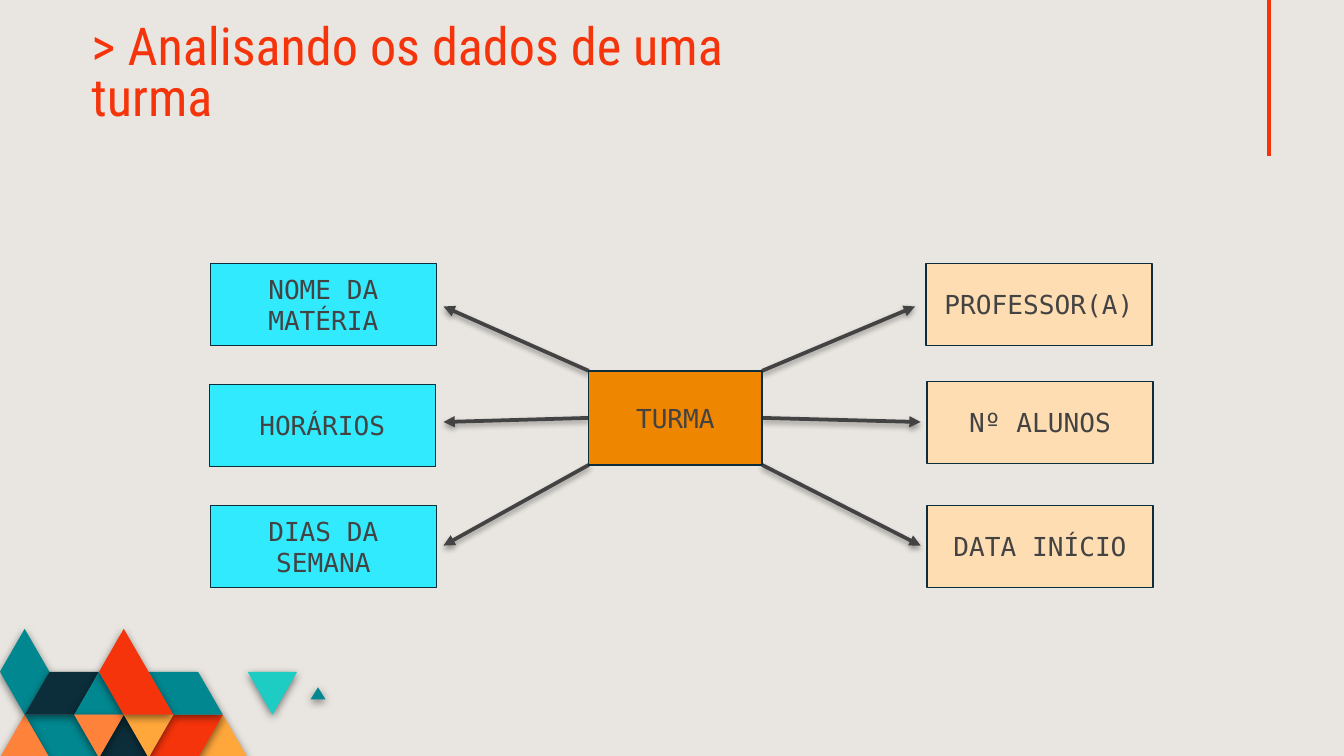
from lxml import etree
from pptx import Presentation
from pptx.dml.color import RGBColor
from pptx.enum.shapes import MSO_CONNECTOR as Connector, MSO_SHAPE as Shape
from pptx.enum.text import MSO_ANCHOR as Anchor, MSO_AUTO_SIZE as AutoSize, PP_ALIGN as Align
from pptx.oxml.ns import qn
from pptx.util import Pt

BACKGROUND = RGBColor(0xE9, 0xE6, 0xE1)
RED = RGBColor(0xF5, 0x34, 0x0B)
TEAL = RGBColor(0x01, 0x87, 0x90)
TURQUOISE = RGBColor(0x1D, 0xCD, 0xC3)
NAVY = RGBColor(0x0C, 0x2E, 0x3A)
CORAL = RGBColor(0xFF, 0x82, 0x3B)
AMBER = RGBColor(0xFF, 0xA7, 0x3B)
CYAN = RGBColor(0x31, 0xEA, 0xFE)
PEACH = RGBColor(0xFF, 0xDD, 0xB2)
ORANGE = RGBColor(0xEF, 0x86, 0x00)
GRAY = RGBColor(0x43, 0x43, 0x43)


def set_shadow(shape, blur=0, distance=0, opacity=0):
    """Drop a black shadow straight down, or remove it when opacity is 0."""
    effects = etree.SubElement(shape._element.spPr, qn("a:effectLst"))
    if opacity:
        outer = etree.SubElement(effects, qn("a:outerShdw"), blurRad=str(Pt(blur)),
                                 dist=str(Pt(distance)), dir="5400000",
                                 algn="bl", rotWithShape="0")
        color = etree.SubElement(outer, qn("a:srgbClr"), val="000000")
        etree.SubElement(color, qn("a:alpha"), val=str(opacity * 1000))


def add_box(shapes, label, left, top, width, height, color):
    box = shapes.add_shape(Shape.RECTANGLE, Pt(left), Pt(top), Pt(width), Pt(height))
    box.shadow.inherit = False
    box.fill.solid()
    box.fill.fore_color.rgb = color
    box.line.color.rgb = NAVY
    box.line.width = Pt(0.75)
    frame = box.text_frame
    frame.word_wrap = True
    frame.vertical_anchor = Anchor.MIDDLE
    frame.text = label
    paragraph = frame.paragraphs[0]
    paragraph.alignment = Align.CENTER
    font = paragraph.runs[0].font
    font.name = "DejaVu Sans Mono"
    font.size = Pt(14)
    font.color.rgb = GRAY


presentation = Presentation()
presentation.slide_width = Pt(720)
presentation.slide_height = Pt(405)
slide = presentation.slides.add_slide(presentation.slide_layouts[5])
shapes = slide.shapes
slide.background.fill.solid()
slide.background.fill.fore_color.rgb = BACKGROUND

# Title and accent line
title = shapes.title
title.left, title.top, title.width, title.height = Pt(41.8), Pt(18), Pt(388.8), Pt(45.4)
frame = title.text_frame
frame.text = "> Analisando os dados de uma turma"
frame.word_wrap = True
frame.auto_size = AutoSize.NONE
frame.vertical_anchor = Anchor.MIDDLE
frame.margin_left = frame.margin_right = frame.margin_top = frame.margin_bottom = Pt(7.2)
paragraph = frame.paragraphs[0]
paragraph.alignment = Align.LEFT
paragraph.line_spacing = 0.8
font = paragraph.runs[0].font
font.name = "Roboto Condensed"
font.size = Pt(28)
font.color.rgb = RED

accent = shapes.add_connector(Connector.STRAIGHT, Pt(679.8), Pt(0), Pt(679.8), Pt(83.5))
accent.line.color.rgb = RED
accent.line.width = Pt(2.25)
set_shadow(accent)

# Corner mosaic: points are (half triangle sides, rows) on a triangular grid
HALF_SIDE, ROW_HEIGHT, MOSAIC_TOP = 13.27, 23.02, 336.9
mosaic = [
    (AMBER, [(10, 3), (9, 2), (8, 3)]),
    (RED, [(9, 2), (7, 2), (6, 3), (8, 3)]),
    (TEAL, [(4, 3), (3, 2), (1, 2), (2, 3)]),
    (CORAL, [(2, 3), (1, 2), (0, 3)]),
    (NAVY, [(6, 3), (5, 2), (4, 3)]),
    (TEAL, [(9, 2), (8, 1), (6, 1), (7, 2)]),
    (TEAL, [(13.14, 1.64), (12.84, 1.36), (12.54, 1.64)]),
    (TURQUOISE, [(12, 1), (10, 1), (11, 2)]),
    (TEAL, [(2, 1), (1, 0), (0, 1), (1, 2)]),
    (NAVY, [(4, 1), (2, 1), (1, 2), (3, 2)]),
    (TEAL, [(5, 2), (4, 1), (3, 2)]),
    (CORAL, [(5, 2), (3, 2), (4, 3)]),
    (AMBER, [(7, 2), (5, 2), (6, 3)]),
    (RED, [(7, 2), (5, 0), (4, 1), (5, 2)]),
]
for color, corners in mosaic:
    points = [(Pt(x * HALF_SIDE), Pt(MOSAIC_TOP + y * ROW_HEIGHT)) for x, y in corners]
    builder = shapes.build_freeform(*points[0])
    builder.add_line_segments(points[1:], close=True)
    tile = builder.convert_to_shape()
    tile.fill.solid()
    tile.fill.fore_color.rgb = color
    tile.line.fill.background()
    set_shadow(tile, blur=4.5, distance=1.5, opacity=49)

# Diagram: arrows leave the sides of the central box towards the attributes
CENTER_LEFT, CENTER_TOP, CENTER_WIDTH, CENTER_HEIGHT = 315.4, 198.7, 92.9, 50.4
BOX_WIDTH, BOX_HEIGHT = 121, 43.9
arrow_tops = [164.2, 226.1, 292.3]
sides = [
    (CENTER_LEFT, CYAN, [
        ("NOME DA MATÉRIA", 112.8, 141.1, 237.6),
        ("HORÁRIOS", 112.2, 205.9, 237.6),
        ("DIAS DA SEMANA", 112.8, 270.7, 237.6)]),
    (CENTER_LEFT + CENTER_WIDTH, PEACH, [
        ("PROFESSOR(A)", 496.1, 141.1, 490.2),
        ("Nº ALUNOS", 496.7, 204.4, 493.2),
        ("DATA INÍCIO", 496.7, 270.7, 493.2)]),
]
for start_x, color, attributes in sides:
    for row, (label, left, top, arrow_x) in enumerate(attributes):
        add_box(shapes, label, left, top, BOX_WIDTH, BOX_HEIGHT, color)
        arrow = shapes.add_connector(
            Connector.STRAIGHT, Pt(start_x), Pt(CENTER_TOP + row * CENTER_HEIGHT / 2),
            Pt(arrow_x), Pt(arrow_tops[row]))
        arrow.line.color.rgb = GRAY
        arrow.line.width = Pt(2)
        etree.SubElement(arrow.line._get_or_add_ln(), qn("a:tailEnd"), type="triangle")
        set_shadow(arrow, blur=3.1, distance=1.6, opacity=37)

add_box(shapes, "TURMA", CENTER_LEFT, CENTER_TOP, CENTER_WIDTH, CENTER_HEIGHT, ORANGE)

presentation.save("out.pptx")
